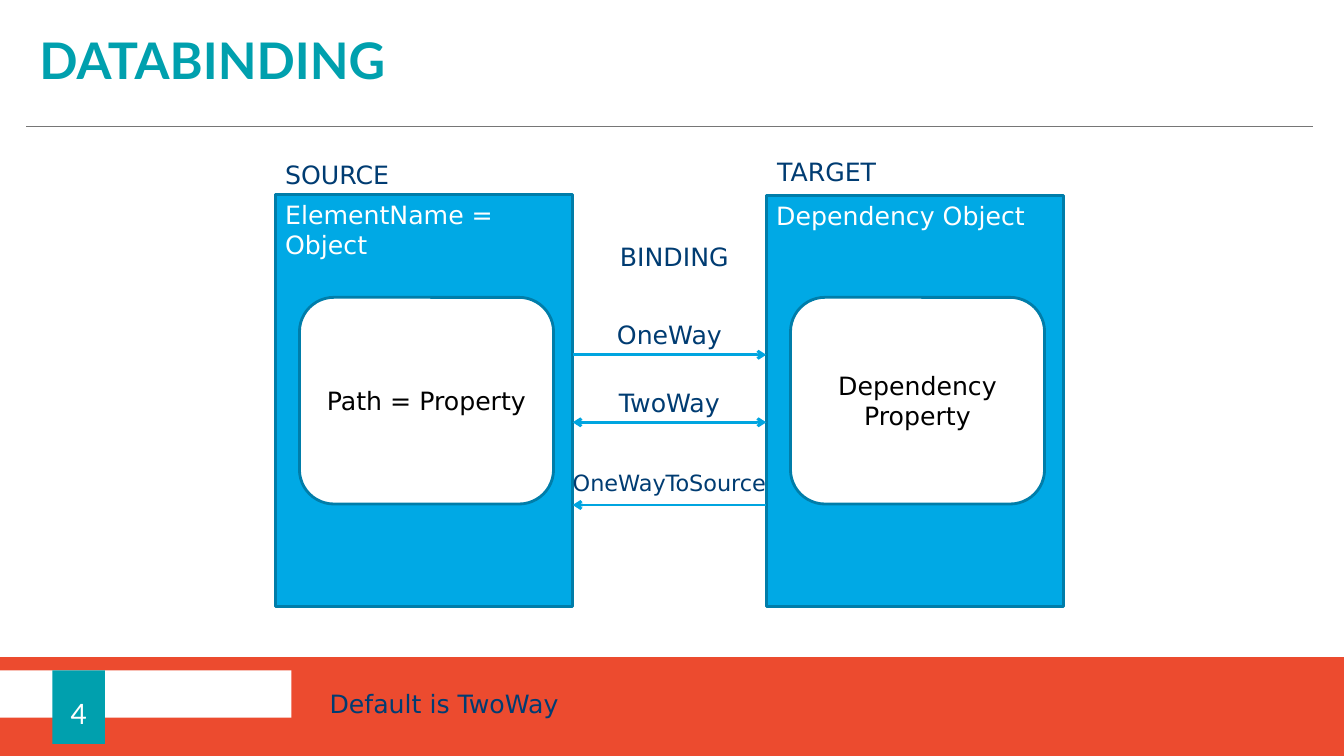
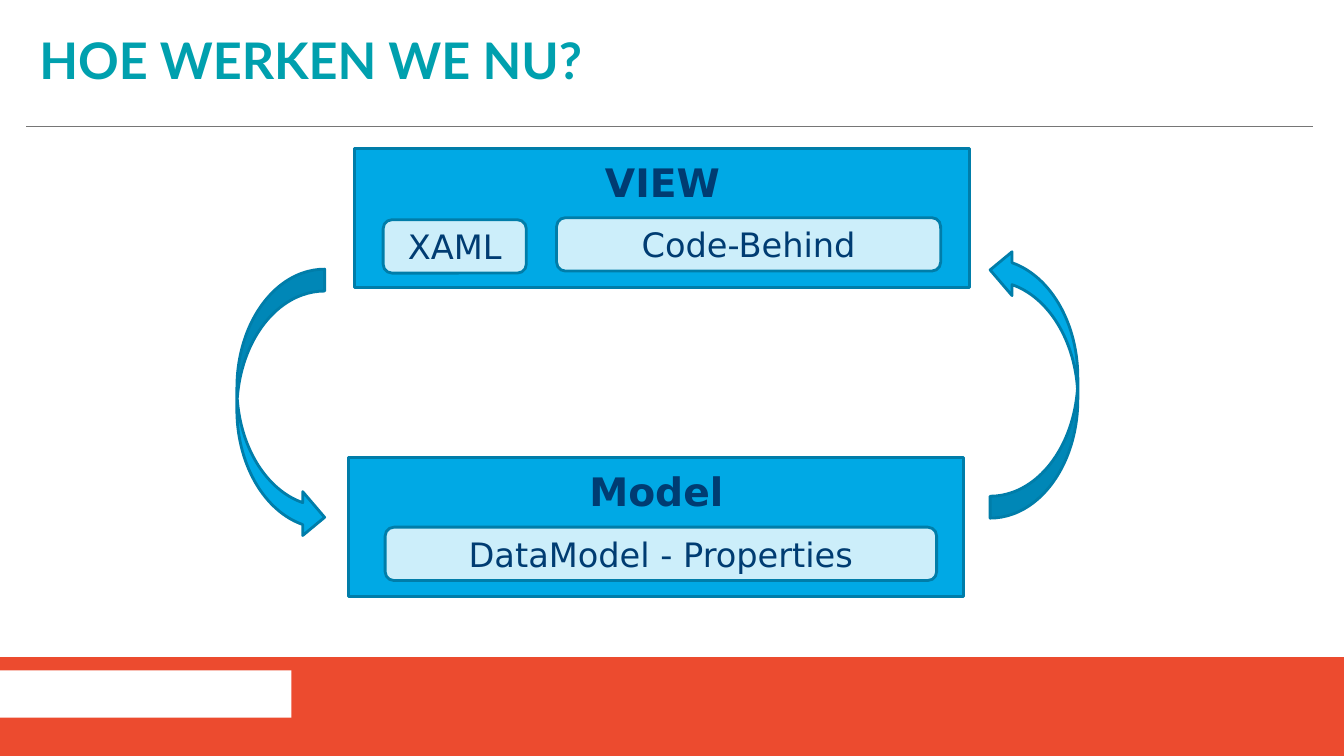
from lxml import etree
from pptx import Presentation, util as u
from pptx.dml.color import RGBColor
from pptx.enum import shapes, text
from pptx.oxml.ns import qn


class Theme:
    teal = RGBColor(0x00, 0xA0, 0xAE)
    band = RGBColor(0xEC, 0x4B, 0x2F)
    rule = RGBColor(0x76, 0x76, 0x76)
    blue = RGBColor(0x00, 0xA9, 0xE5)
    pale = RGBColor(0xCC, 0xEE, 0xFA)
    edge = RGBColor(0x00, 0x7D, 0xA9)
    arrow = RGBColor(0x00, 0xA5, 0xE0)
    navy = RGBColor(0x00, 0x3C, 0x72)
    white = RGBColor(0xFF, 0xFF, 0xFF)
    black = RGBColor(0x00, 0x00, 0x00)
    heading_font, body_font = "Lato", "DejaVu Sans"
    title, layer, component, number, body, small = 36, 28, 24, 20, 18, 16
    stroke, hairline = 2, 0.5


Inches = u.Inches
RECT = shapes.MSO_SHAPE.RECTANGLE
ROUND = shapes.MSO_SHAPE.ROUNDED_RECTANGLE
CURVED = shapes.MSO_SHAPE.CURVED_RIGHT_ARROW
LEFT, CENTER = text.PP_ALIGN.LEFT, text.PP_ALIGN.CENTER
TOP, MIDDLE = text.MSO_ANCHOR.TOP, text.MSO_ANCHOR.MIDDLE


def place(slide, at, preset=None, fill=None, edge=None):
    """Add a preset shape, or a text box when no preset is given; at is in inches."""
    position = [Inches(length) for length in at]
    if preset is None:
        return slide.shapes.add_textbox(*position)
    shape = slide.shapes.add_shape(preset, *position)
    shape.shadow.inherit = False
    shape.fill.solid()
    shape.fill.fore_color.rgb = fill
    if edge is None:
        shape.line.fill.background()
    else:
        shape.line.color.rgb = edge
        shape.line.width = u.Pt(Theme.stroke)
    return shape


def write(shape, content, *, size=Theme.body, color=Theme.navy, font=Theme.body_font,
          bold=False, align=LEFT, anchor=TOP, insets=(0.1, 0.05, 0.1, 0.05),
          spacing=None, wrap=True):
    """Fill a shape with text, one paragraph a line; insets run left, top, right, bottom."""
    frame = shape.text_frame
    frame.text = content
    frame.word_wrap = wrap
    frame.vertical_anchor = anchor
    (frame.margin_left, frame.margin_top,
     frame.margin_right, frame.margin_bottom) = [Inches(inset) for inset in insets]
    for paragraph in frame.paragraphs:
        paragraph.alignment = align
        paragraph.line_spacing = spacing
        for run in paragraph.runs:
            run.font.name = font
            run.font.size = u.Pt(size)
            run.font.bold = bold
            run.font.color.rgb = color


prs = Presentation()
prs.slide_width, prs.slide_height = Inches(13.33), Inches(7.5)

# Both slides: footer band, title and rule
slides = []
for heading in ("DATABINDING", "HOE WERKEN WE NU?"):
    slide = prs.slides.add_slide(prs.slide_layouts[6])
    place(slide, (0, 6.52, 13.33, 0.98), RECT, Theme.band)
    place(slide, (0, 6.65, 2.89, 0.47), RECT, Theme.white)
    rule = slide.shapes.add_connector(shapes.MSO_CONNECTOR.STRAIGHT, Inches(0.26),
                                      Inches(1.25), Inches(13.02), Inches(1.25))
    rule.line.color.rgb = Theme.rule
    rule.line.width = u.Pt(Theme.hairline)
    etree.SubElement(rule._element.spPr, qn("a:effectLst"))
    write(place(slide, (0, 0, 13.33, 1.25)), heading, size=Theme.title, color=Theme.teal,
          font=Theme.heading_font, bold=True, anchor=MIDDLE,
          insets=(0.39, 0.2, 0.39, 0.16), spacing=0.8)
    slides.append(slide)
databinding, current_way = slides

# Databinding: source and target objects with their property
for left, top, owner, member in (
    (2.73, 1.93, "ElementName = Object", "Path = Property"),
    (7.6, 1.94, "Dependency Object", "Dependency\nProperty"),
):
    write(place(databinding, (left, top, 2.95, 6.02 - top), RECT, Theme.blue, Theme.edge),
          owner, color=Theme.white)
    write(place(databinding, (left + 0.24, 2.95, 2.52, 2.05), ROUND, Theme.white, Theme.edge),
          member, color=Theme.black, align=CENTER, anchor=MIDDLE)

for left, top, width, caption in (
    (2.73, 1.53, 1.5, "SOURCE"),
    (7.61, 1.5, 1.5, "TARGET"),
    (6.05, 2.34, 1.5, "BINDING"),
    (3.17, 6.78, 4.6, "Default is TwoWay"),
):
    write(place(databinding, (left, top, width, 0.4)), caption)

# Databinding: modes between the two objects
for mode, y, ends, size in (
    ("OneWay", 3.52, ("tailEnd",), Theme.body),
    ("TwoWay", 4.19, ("headEnd", "tailEnd"), Theme.body),
    ("OneWayToSource", 5.01, ("headEnd",), Theme.small),
):
    arrow = databinding.shapes.add_connector(shapes.MSO_CONNECTOR.STRAIGHT, Inches(5.68),
                                             Inches(y), Inches(7.6), Inches(y))
    arrow.line.color.rgb = Theme.arrow
    arrow.line.width = u.Pt(Theme.stroke)
    for end in ends:
        etree.SubElement(arrow.line._get_or_add_ln(), qn(f"a:{end}"), type="arrow")
    etree.SubElement(arrow._element.spPr, qn("a:effectLst"))
    write(place(databinding, (5.56, y - 0.4, 2.16, 0.4)), mode, size=size, align=CENTER)

write(place(databinding, (0.52, 6.65, 0.52, 0.73), RECT, Theme.teal), "4",
      size=Theme.number, color=Theme.white, font=Theme.heading_font, align=CENTER,
      anchor=MIDDLE, insets=(0, 0.12, 0, 0), wrap=False)

# Current way of working: view and model with their components
for left, top, layer, components in (
    (3.52, 1.47, "VIEW", ((3.8, 2.18, 1.42, "XAML"), (5.52, 2.16, 3.81, "Code-Behind"))),
    (3.46, 4.54, "Model", ((3.82, 5.23, 5.47, "DataModel - Properties"),)),
):
    write(place(current_way, (left, top, 6.1, 1.38), RECT, Theme.blue, Theme.edge), layer,
          size=Theme.layer, bold=True, align=CENTER, insets=(0.1, 0.1, 0.1, 0.05))
    for inner_left, inner_top, width, component in components:
        write(place(current_way, (inner_left, inner_top, width, 0.53), ROUND, Theme.pale,
                    Theme.edge),
              component, size=Theme.component, align=CENTER, anchor=MIDDLE)

for left, top, turn in ((2.35, 2.67, 0), (9.82, 2.46, 180)):
    cycle = place(current_way, (left, top, 0.87, 2.68), CURVED, Theme.blue, Theme.edge)
    cycle.rotation = turn

prs.save("out.pptx")
